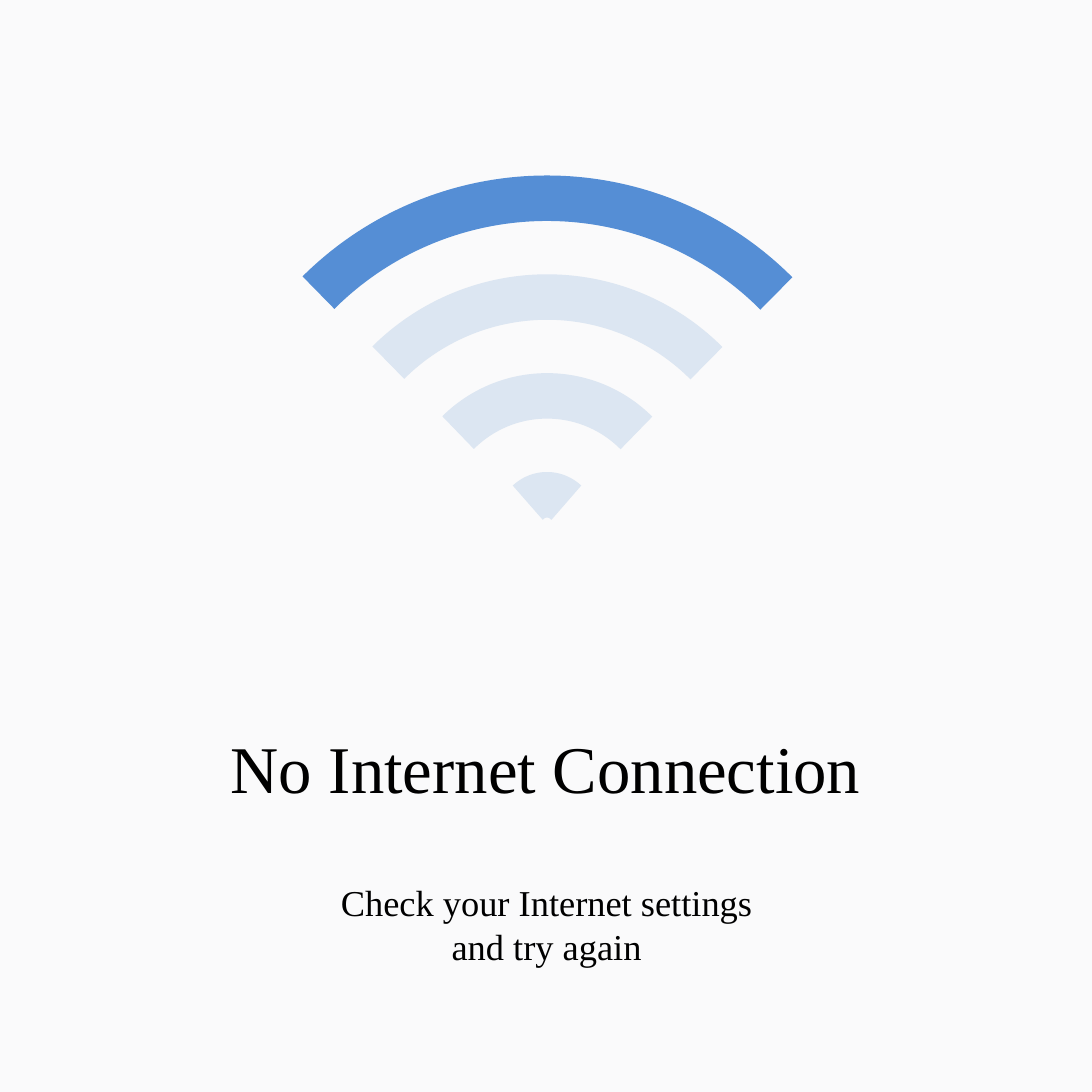
"""Builds a "No Internet Connection" slide with a Wi-Fi signal of four arcs."""
from pptx import Presentation
from pptx.dml.color import RGBColor
from pptx.enum.shapes import MSO_SHAPE
from pptx.enum.text import MSO_ANCHOR, PP_ALIGN
from pptx.util import Inches, Pt

ARC = MSO_SHAPE.ARC
TOP = MSO_ANCHOR.TOP
CENTER = PP_ALIGN.CENTER
FONT = "Times New Roman"
COLORS = {"background": "FAFAFB", "text": "000000", "strong": "558ED5", "faint": "DCE6F2"}


def color(name):
    return RGBColor.from_string(COLORS[name])


def write(placeholder, text, left, top, width, height, size):
    placeholder.left, placeholder.top = Inches(left), Inches(top)
    placeholder.width, placeholder.height = Inches(width), Inches(height)
    frame = placeholder.text_frame
    frame.text = text
    frame.word_wrap = False
    frame.vertical_anchor = TOP
    for paragraph in frame.paragraphs:
        paragraph.alignment = CENTER
        paragraph.space_before = Pt(0)
        for run in paragraph.runs:
            run.font.name = FONT
            run.font.size = Pt(size)
            run.font.color.rgb = color("text")


prs = Presentation()
prs.slide_width = prs.slide_height = Inches(10)
slide = prs.slides.add_slide(prs.slide_layouts[0])
slide.background.fill.solid()
slide.background.fill.fore_color.rgb = color("background")

headline, advice = slide.placeholders
write(headline, "No Internet Connection", 1.61, 6.61, 6.78, 0.84, 44)
write(advice, "Check your Internet settings\nand try again", 2.77, 8.01, 4.47, 0.91, 24)

signal_x, signal_y = 5.01, 4.78
outer_diameter, diameter_step = 5.93, 1.81
for ring, strength in enumerate(["strong", "faint", "faint", "faint"]):
    diameter = outer_diameter - ring * diameter_step
    wave = slide.shapes.add_shape(
        ARC,
        Inches(signal_x - diameter / 2),
        Inches(signal_y - diameter / 2),
        Inches(diameter),
        Inches(diameter),
    )
    wave.rotation = 315.1
    wave.shadow.inherit = False
    wave.fill.background()
    wave.line.color.rgb = color(strength)
    wave.line.width = Pt(30)

prs.save("out.pptx")
